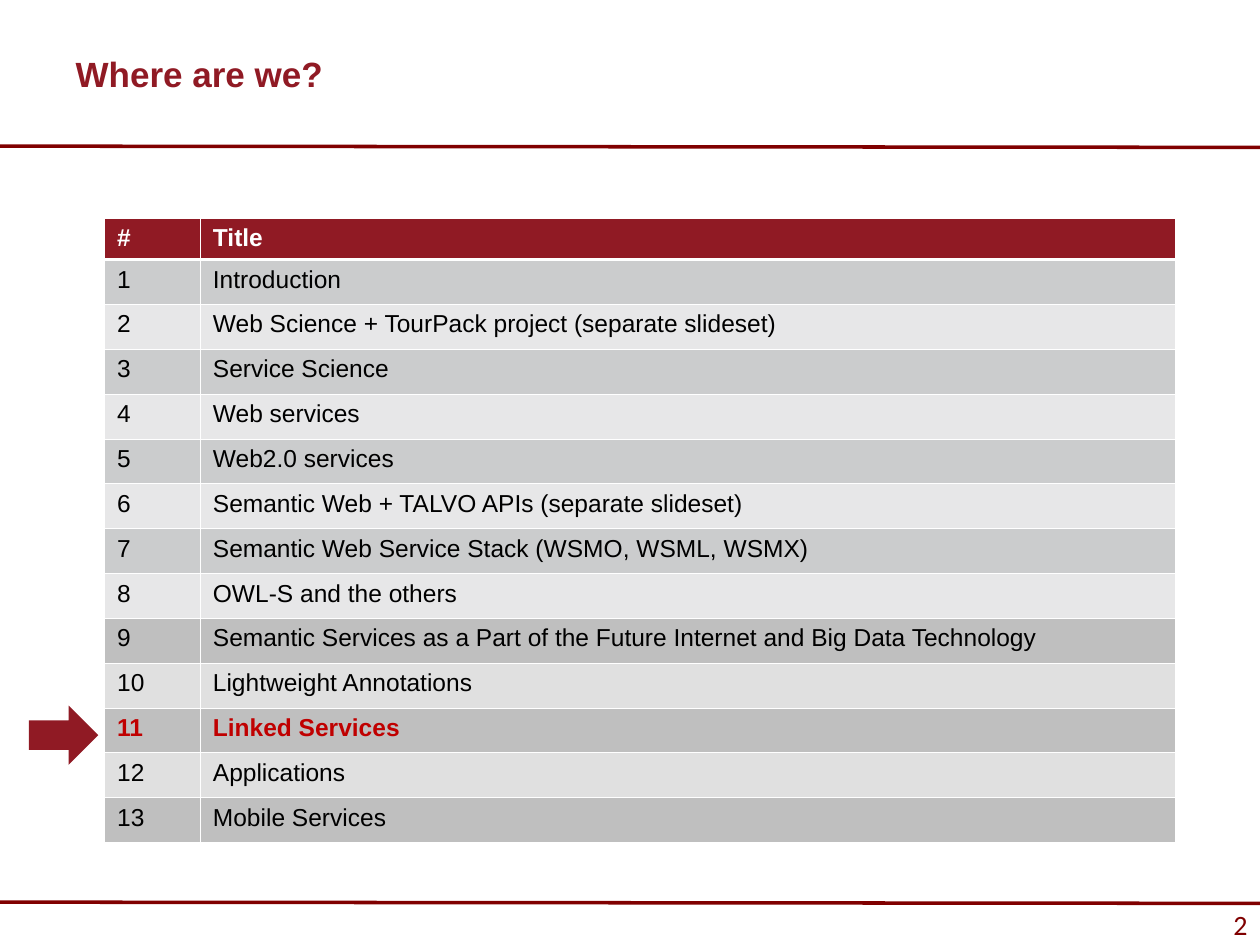
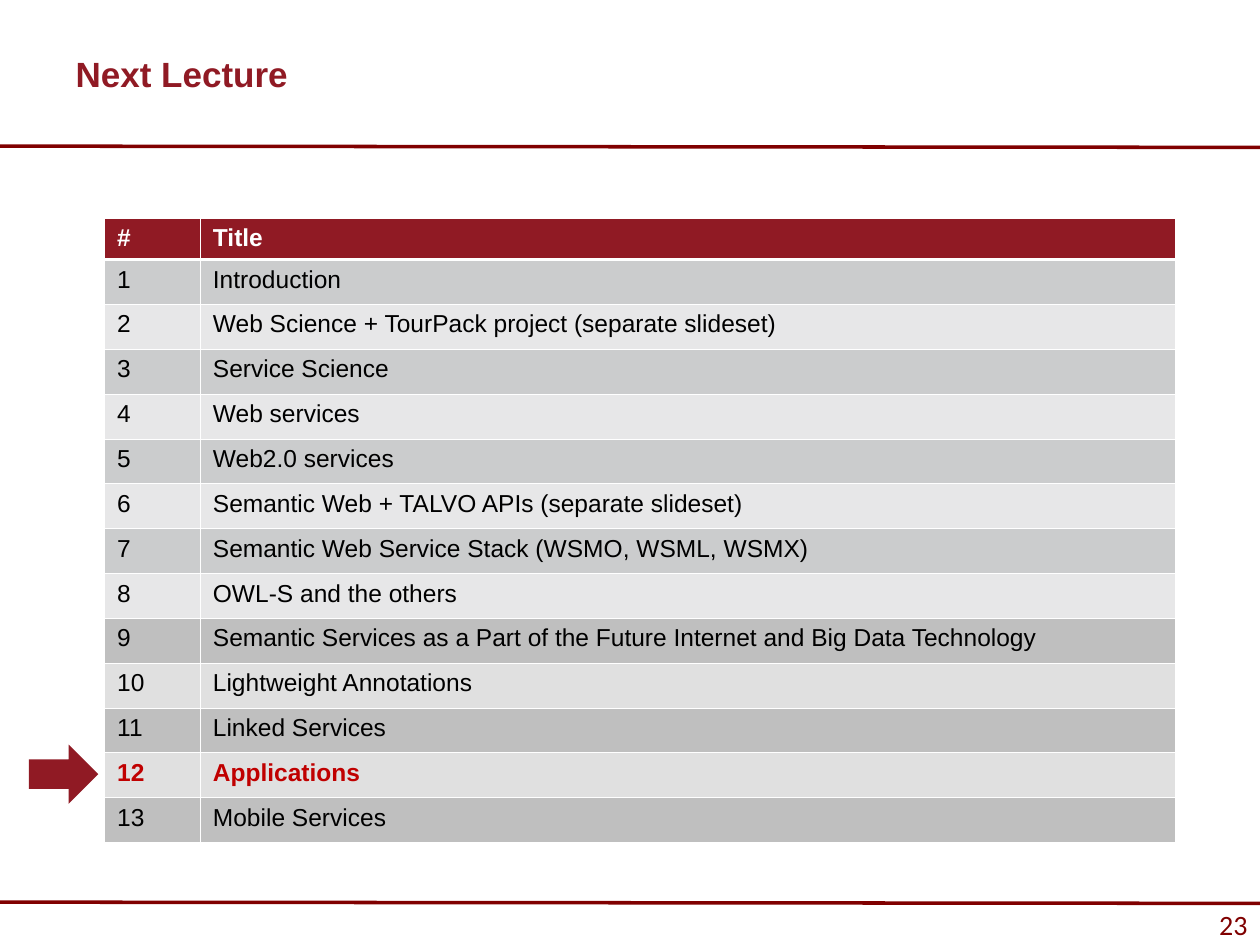
from dataclasses import dataclass

from lxml import etree
from pptx import Presentation
from pptx.dml.color import RGBColor
from pptx.enum.shapes import MSO_CONNECTOR, MSO_SHAPE
from pptx.enum.text import MSO_ANCHOR, PP_ALIGN
from pptx.oxml.ns import qn
from pptx.util import Inches, Pt

STRAIGHT = MSO_CONNECTOR.STRAIGHT
RECTANGLE = MSO_SHAPE.RECTANGLE
RIGHT_ARROW = MSO_SHAPE.RIGHT_ARROW
MIDDLE = MSO_ANCHOR.MIDDLE
LEFT = PP_ALIGN.LEFT
RIGHT = PP_ALIGN.RIGHT
TITLE_ONLY = 5


@dataclass(frozen=True)
class Theme:
    accent: str = "901A24"
    rule: str = "800000"
    highlight: str = "C00000"
    text: str = "000000"
    white: str = "FFFFFF"
    early_bands: tuple = ("CBCCCD", "E7E7E8")
    late_bands: tuple = ("BFBFBF", "E0E0E0")
    font: str = "Arial"
    number_font: str = "Calibri"
    title_size: int = 20
    number_size: int = 16
    table_size: int = 14
    rule_width: float = 2
    thin_border: float = 0.45
    thick_border: float = 1.47


THEME = Theme()

LECTURES = (
    "Introduction",
    "Web Science + TourPack project (separate slideset)",
    "Service Science",
    "Web services",
    "Web2.0 services",
    "Semantic Web + TALVO APIs (separate slideset)",
    "Semantic Web Service Stack (WSMO, WSML, WSMX)",
    "OWL-S and the others",
    "Semantic Services as a Part of the Future Internet and Big Data Technology",
    "Lightweight Annotations",
    "Linked Services",
    "Applications",
    "Mobile Services",
)
FIRST_LATE_LECTURE = 9
COLUMN_WIDTHS = (0.76, 7.74)
HEADER_HEIGHT = 0.33
ROW_HEIGHT = 4.63 / len(LECTURES)


def set_text(frame, text, *, size, color, font=THEME.font, bold=False, align=LEFT):
    para = frame.paragraphs[0]
    para.alignment = align
    span = para.add_run()
    span.text = text
    span.font.name = font
    span.font.size = Pt(size)
    span.font.bold = bold
    span.font.color.rgb = RGBColor.from_string(color)


def add_filled_shape(page, kind, left, top, width, height, color):
    shape = page.shapes.add_shape(
        kind, Inches(left), Inches(top), Inches(width), Inches(height))
    shape.shadow.inherit = False
    shape.fill.solid()
    shape.fill.fore_color.rgb = RGBColor.from_string(color)
    shape.line.fill.background()
    return shape


def add_rule(page, top):
    rule = page.shapes.add_connector(
        STRAIGHT, 0, Inches(top), Inches(10), Inches(top + 0.01))
    rule.line.color.rgb = RGBColor.from_string(THEME.rule)
    rule.line.width = Pt(THEME.rule_width)
    etree.SubElement(rule._element.spPr, qn("a:effectLst"))


def add_page_number(page, number):
    band = add_filled_shape(page, RECTANGLE, 0, 7.21, 10, 0.25, THEME.white)
    frame = band.text_frame
    frame.word_wrap = False
    frame.vertical_anchor = MIDDLE
    set_text(frame, str(number), size=THEME.number_size, color=THEME.rule,
             font=THEME.number_font, align=RIGHT)


def add_title(page, text):
    title = page.shapes.title
    title.left, title.top = Inches(0.5), Inches(0.33)
    title.width, title.height = Inches(6.33), Inches(0.5)
    title.text_frame.vertical_anchor = MIDDLE
    set_text(title.text_frame, text, size=THEME.title_size,
             color=THEME.accent, bold=True)


def add_page(deck, title, number):
    page = deck.slides.add_slide(deck.slide_layouts[TITLE_ONLY])
    add_page_number(page, number)
    add_rule(page, 1.16)
    add_rule(page, 7.16)
    add_title(page, title)
    return page


def set_borders(cell, row):
    widths = {
        "L": THEME.thin_border,
        "R": THEME.thin_border,
        "T": THEME.thick_border if row == 1 else THEME.thin_border,
        "B": THEME.thick_border if row == 0 else THEME.thin_border,
    }
    properties = cell._tc.get_or_add_tcPr()
    for side, width in widths.items():
        border = etree.SubElement(properties, qn(f"a:ln{side}"), w=str(Pt(width)))
        fill = etree.SubElement(border, qn("a:solidFill"))
        etree.SubElement(fill, qn("a:srgbClr"), val=THEME.white)


def row_format(row, current):
    if row == 0:
        return THEME.accent, THEME.white, True
    bands = THEME.early_bands if row < FIRST_LATE_LECTURE else THEME.late_bands
    is_current = row == current
    color = THEME.highlight if is_current else THEME.text
    return bands[(row - 1) % 2], color, is_current


def add_lecture_table(page, current):
    entries = [("#", "Title")]
    entries += [(str(number), name) for number, name in enumerate(LECTURES, 1)]
    table = page.shapes.add_table(
        len(entries), len(COLUMN_WIDTHS), Inches(0.83), Inches(1.73),
        Inches(sum(COLUMN_WIDTHS)), Inches(4.96)).table
    table.horz_banding = False
    for column, width in zip(table.columns, COLUMN_WIDTHS):
        column.width = Inches(width)
    for row, entry in enumerate(entries):
        table.rows[row].height = Inches(ROW_HEIGHT if row else HEADER_HEIGHT)
        background, color, bold = row_format(row, current)
        for column, text in enumerate(entry):
            cell = table.cell(row, column)
            set_borders(cell, row)
            cell.fill.solid()
            cell.fill.fore_color.rgb = RGBColor.from_string(background)
            set_text(cell.text_frame, text, size=THEME.table_size,
                     color=color, bold=bold)


def add_agenda_page(deck, title, number, current, arrow_top):
    page = add_page(deck, title, number)
    add_lecture_table(page, current)
    add_filled_shape(page, RIGHT_ARROW, 0.23, arrow_top, 0.55, 0.47, THEME.accent)


def main():
    deck = Presentation()
    deck.slide_width, deck.slide_height = Inches(10), Inches(7.5)
    add_agenda_page(deck, "Where are we?", number=2, current=11, arrow_top=5.6)
    add_agenda_page(deck, "Next Lecture", number=23, current=12, arrow_top=5.91)
    deck.save("out.pptx")


if __name__ == "__main__":
    main()
